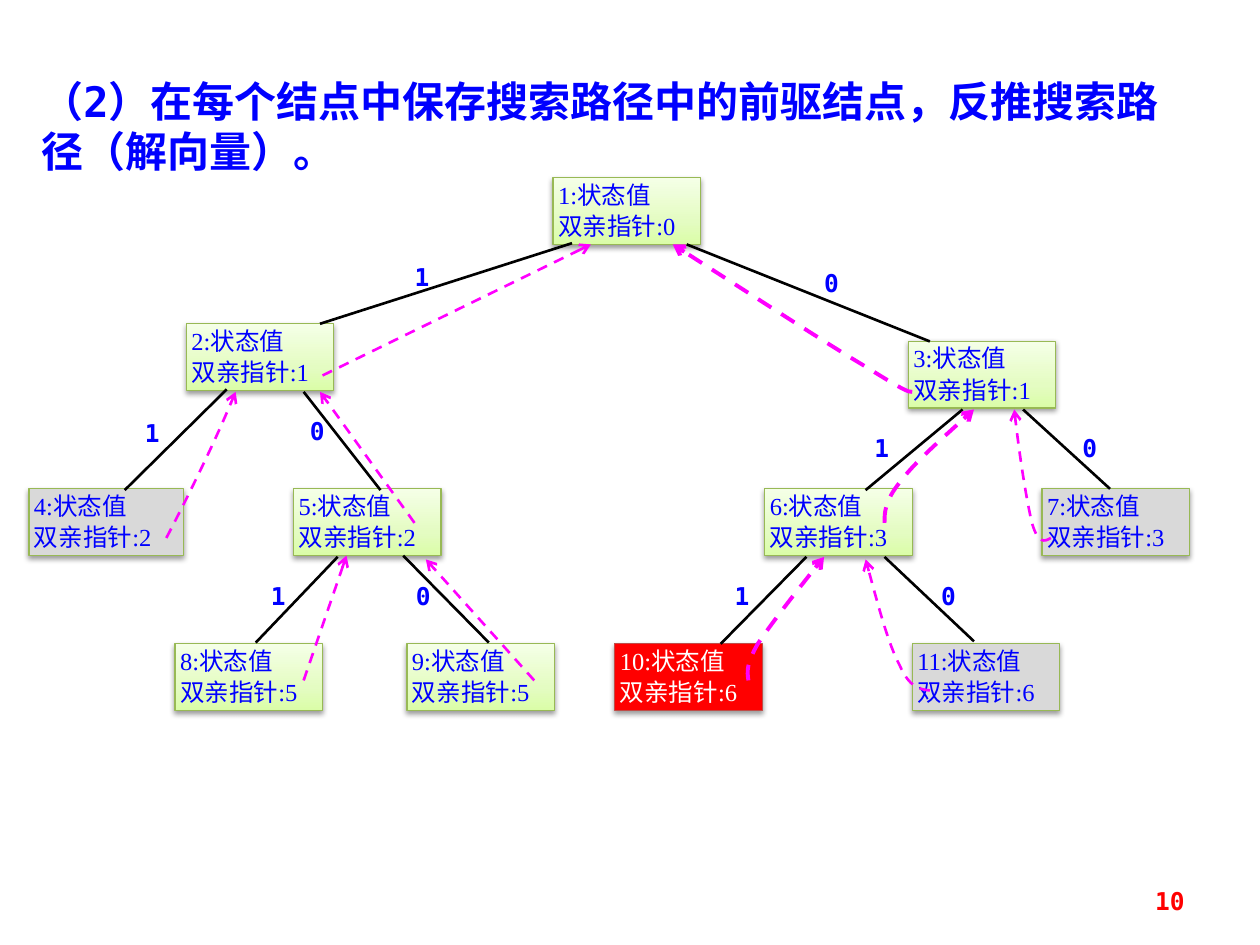
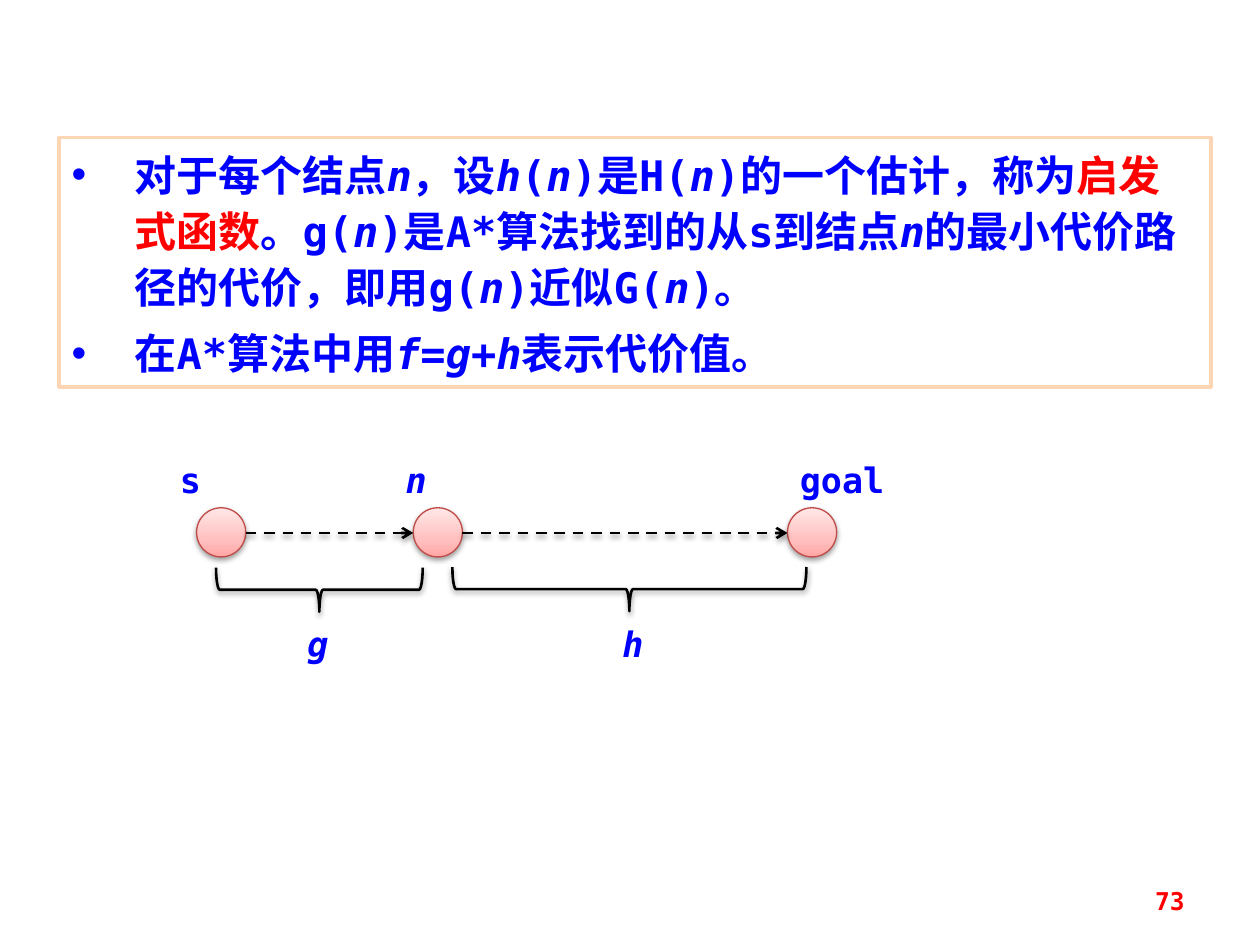
import pptx
import pptx.util
import pptx.dml.color
import pptx.enum.dml
import pptx.enum.shapes
import pptx.enum.text
import pptx.oxml.ns
from lxml import etree

PX = 9144  # EMU per px, 100 px to the inch
qn = pptx.oxml.ns.qn
Pt = pptx.util.Pt
SHAPE = pptx.enum.shapes.MSO_SHAPE
ALIGN = pptx.enum.text.PP_ALIGN
ANCHOR = pptx.enum.text.MSO_ANCHOR


class Theme:
    blue, red, black, white = "0000FF", "FF0000", "000000", "FFFFFF"
    magenta, gray, peach = "FF00FF", "D9D9D9", "FCD5B5"
    green_edge, red_edge = "98B955", "BF4C48"
    green = ((0, "DAFDA7"), (35, "E4FCC2"), (100, "F5FFE7"))
    pink = ((0, "FFA6A5"), (35, "FFC0BF"), (100, "FFE7E7"))
    mono, serif = "DejaVu Sans Mono", "Times New Roman"
    heading, label, small = Pt(24), Pt(20), Pt(14)


def rgb(value):
    return pptx.dml.color.RGBColor.from_string(value)


def write(shape, paragraphs, size, color=Theme.blue, name=Theme.mono, bold=True,
          para=None, frame=None, bullet=False):
    """Fill a shape with text; _x_ marks italic and #x# marks red."""
    tf = shape.text_frame
    settings = {"word_wrap": True, "vertical_anchor": ANCHOR.TOP, **(frame or {})}
    for key, value in settings.items():
        setattr(tf, key, value)
    for n, text in enumerate(paragraphs):
        p = tf.add_paragraph() if n else tf.paragraphs[0]
        for key, value in {"alignment": ALIGN.LEFT, **(para or {})}.items():
            setattr(p, key, value)
        if bullet:
            p.space_before = Pt(6 if n else 0)
            pPr = p._p.get_or_add_pPr()
            pPr.set("marL", str(50 * PX))
            pPr.set("indent", str(-50 * PX))
            etree.SubElement(pPr, qn("a:buFont"), typeface="Arial")
            etree.SubElement(pPr, qn("a:buChar"), char="•")
        for i, chunk in enumerate(text.split("_")):
            for j, part in enumerate(chunk.split("#")):
                if not part:
                    continue
                r = p.add_run()
                r.text = part
                fmt = {"size": size, "name": name, "bold": bold, "italic": i % 2 == 1}
                for key, value in fmt.items():
                    setattr(r.font, key, value)
                r.font.color.rgb = rgb(Theme.red if j % 2 else color)


def paint(shape, fill=None, line=None, width=1.5, arrow=False, shadow=False):
    """Set fill, outline, arrowhead and shadow of a shape or connector."""
    spPr = shape.element.spPr
    if hasattr(shape, "fill"):
        if fill is None:
            shape.fill.background()
        elif isinstance(fill, str):
            shape.fill.solid()
            shape.fill.fore_color.rgb = rgb(fill)
        else:
            shape.fill.gradient()
            shape.fill.gradient_angle = 90
            stops = spPr.find(qn("a:gradFill")).find(qn("a:gsLst"))
            stops.clear()
            for pos, color in fill:
                gs = etree.SubElement(stops, qn("a:gs"), pos=str(pos * 1000))
                etree.SubElement(gs, qn("a:srgbClr"), val=color)
    if line is None:
        shape.line.fill.background()
    else:
        shape.line.color.rgb = rgb(line)
        shape.line.width = Pt(width)
    if arrow:
        shape.line.dash_style = pptx.enum.dml.MSO_LINE.DASH
        etree.SubElement(spPr.find(qn("a:ln")), qn("a:tailEnd"), type="arrow")
    effects = etree.SubElement(spPr, qn("a:effectLst"))
    if shadow:
        outer = etree.SubElement(effects, qn("a:outerShdw"), blurRad="40000",
                                 dist="20000", dir="5400000", rotWithShape="0")
        black = etree.SubElement(outer, qn("a:srgbClr"), val=Theme.black)
        etree.SubElement(black, qn("a:alpha"), val="38000")


prs = pptx.Presentation()
prs.slide_width, prs.slide_height = 1000 * PX, 750 * PX
STRAIGHT = pptx.enum.shapes.MSO_CONNECTOR.STRAIGHT
FLUSH = {"margin_left": 0, "margin_top": 0, "margin_right": 0, "margin_bottom": 0}

# Slides with their page numbers
slides = []
for number in (10, 73):
    s = prs.slides.add_slide(prs.slide_layouts[6])
    tb = s.shapes.add_textbox(717 * PX, 695 * PX, 233 * PX, 40 * PX)
    write(tb, [str(number)], Theme.small, Theme.red,
          para={"alignment": ALIGN.RIGHT}, frame={"vertical_anchor": ANCHOR.MIDDLE})
    slides.append(s)
tree, astar = slides

# Tree slide: heading
tb = tree.shapes.add_textbox(23 * PX, 55 * PX, 930 * PX, 91 * PX)
write(tb, ["（2）在每个结点中保存搜索路径中的前驱结点，反推搜索路径（解向量）。"], Theme.heading)

# Tree nodes: number, parent, left, top, width
nodes = [
    (1, 0, 439, 141, 117), (2, 1, 148, 257, 117), (3, 1, 721, 271, 117),
    (4, 2, 23, 388, 123), (5, 2, 233, 388, 117), (6, 3, 607, 388, 117),
    (7, 3, 827, 388, 117), (8, 5, 139, 511, 117), (9, 5, 323, 511, 117),
    (10, 6, 488, 511, 117), (11, 6, 724, 511, 117),
]
dead_ends, goal = (4, 7, 11), 10
for number, parent, x, y, w in nodes:
    fill, line, color = Theme.green, Theme.green_edge, Theme.blue
    if number in dead_ends:
        fill = Theme.gray
    elif number == goal:
        fill, line, color = Theme.red, Theme.red_edge, Theme.white
    sp = tree.shapes.add_shape(SHAPE.RECTANGLE, x * PX, y * PX, w * PX, 53 * PX)
    paint(sp, fill, line, 0.75, shadow=True)
    write(sp, [f"{number}:状态值", f"双亲指针:{parent}"], Theme.small, color, Theme.serif, False,
          para={"line_spacing": Pt(18)}, frame={**FLUSH, "margin_left": 4 * PX})

# Tree edges: start, end, branch digit and its place
edges = [
    (454, 193, 254, 257, "1", 329, 208), (545, 194, 738, 271, "0", 654, 213),
    (180, 309, 99, 389, "1", 115, 332), (241, 311, 302, 389, "0", 246, 330),
    (764, 325, 687, 389, "1", 694, 344), (812, 325, 881, 388, "0", 859, 344),
    (268, 442, 203, 510, "1", 215, 461), (320, 441, 388, 510, "0", 330, 461),
    (640, 442, 572, 511, "1", 583, 461), (702, 442, 773, 509, "0", 747, 461),
]
for x1, y1, x2, y2, digit, x, y in edges:
    sp = tree.shapes.add_shape(SHAPE.RECTANGLE, x * PX, y * PX, 19 * PX, 21 * PX)
    paint(sp, Theme.white)
    write(sp, [digit], Theme.small, frame=FLUSH)
    cx = tree.shapes.add_connector(STRAIGHT, x1 * PX, y1 * PX, x2 * PX, y2 * PX)
    paint(cx, line=Theme.black)

# Straight parent pointers
for x1, y1, x2, y2 in [(256, 298, 469, 194), (329, 415, 254, 311),
                       (241, 540, 275, 441), (424, 540, 338, 444)]:
    cx = tree.shapes.add_connector(STRAIGHT, x1 * PX, y1 * PX, x2 * PX, y2 * PX)
    paint(cx, line=Theme.magenta, arrow=True)

# Curved parent pointers: width, start, then three points per Bézier segment
pointers = [
    (2.25, (724, 311), (721, 311), (719, 311), (687, 291), (655, 272), (595, 233), (534, 194)),
    (1.5, (132, 427), (143, 406), (154, 384), (163, 365), (172, 346), (180, 328), (187, 311)),
    (2.25, (594, 540), (593, 533), (592, 527), (602, 510), (613, 494), (633, 468), (654, 442)),
    (1.5, (738, 548), (730, 547), (722, 546), (714, 528), (705, 511), (696, 477), (687, 444)),
    (2.25, (702, 415), (702, 407), (702, 398), (714, 383), (725, 368), (749, 347), (773, 325)),
    (1.5, (834, 427), (829, 430), (824, 432), (819, 415), (815, 398), (809, 362), (805, 325)),
]
for width, start, *points in pointers:
    fb = tree.shapes.build_freeform(*start, scale=PX)
    fb.add_line_segments(points, close=False)
    sp = fb.convert_to_shape()
    segments = list(sp.element.iter(qn("a:lnTo")))
    outline = segments[0].getparent()
    for i in range(0, len(segments), 3):
        curve = etree.SubElement(outline, qn("a:cubicBezTo"))
        for segment in segments[i:i + 3]:
            curve.append(segment[0])
            outline.remove(segment)
    paint(sp, line=Theme.magenta, width=width, arrow=True)

# A* slide: definition box
sp = astar.shapes.add_shape(SHAPE.RECTANGLE, 47 * PX, 109 * PX, 914 * PX, 198 * PX)
paint(sp, Theme.white, Theme.peach, 2)
write(sp, [
    "对于每个结点_n_，设_h_(_n_)是H(_n_)的一个估计，称为#启发式函数#。g(_n_)是A*算法找到的从s到结点"
    "_n_的最小代价路径的代价，即用g(_n_)近似G(_n_)。",
    "在A*算法中用_f_=_g_+_h_表示代价值。",
], Theme.heading, para={"line_spacing": Pt(32)}, bullet=True)

# Path nodes and the arrows between them
size, top = 39, 403
lefts = (156, 328, 625)
for x in lefts:
    sp = astar.shapes.add_shape(SHAPE.OVAL, x * PX, top * PX, size * PX, size * PX)
    paint(sp, Theme.pink, Theme.red_edge, 0.75, shadow=True)
for x1, x2 in zip(lefts, lefts[1:]):
    cx = astar.shapes.add_connector(STRAIGHT, (x1 + size) * PX, 423 * PX, x2 * PX, 423 * PX)
    paint(cx, line=Theme.black, arrow=True, shadow=True)

# Cost braces, turned to point down
for x, y, length in ((236, 386, 164), (482, 327, 281)):
    sp = astar.shapes.add_shape(SHAPE.LEFT_BRACE, x * PX, y * PX, 35 * PX, length * PX)
    sp.rotation = 270
    paint(sp, line=Theme.black, shadow=True)

# Node and cost labels
for text, x, y, w in (("s", 133, 359, 39), ("_n_", 312, 359, 39), ("goal", 625, 359, 117),
                      ("_g_", 234, 489, 39), ("_h_", 484, 489, 39)):
    tb = astar.shapes.add_textbox(x * PX, y * PX, w * PX, 44 * PX)
    write(tb, [text], Theme.label)

prs.save("out.pptx")
